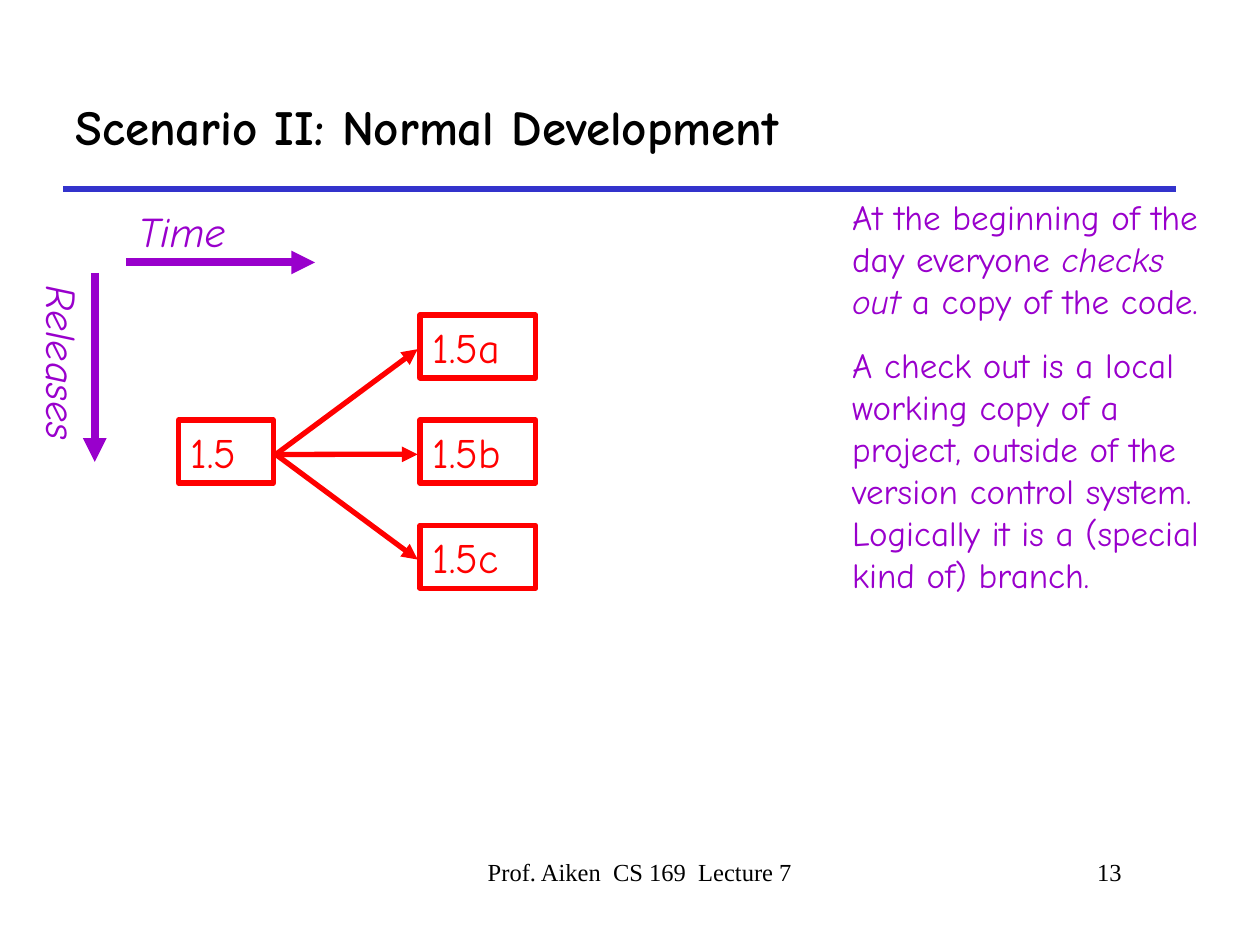
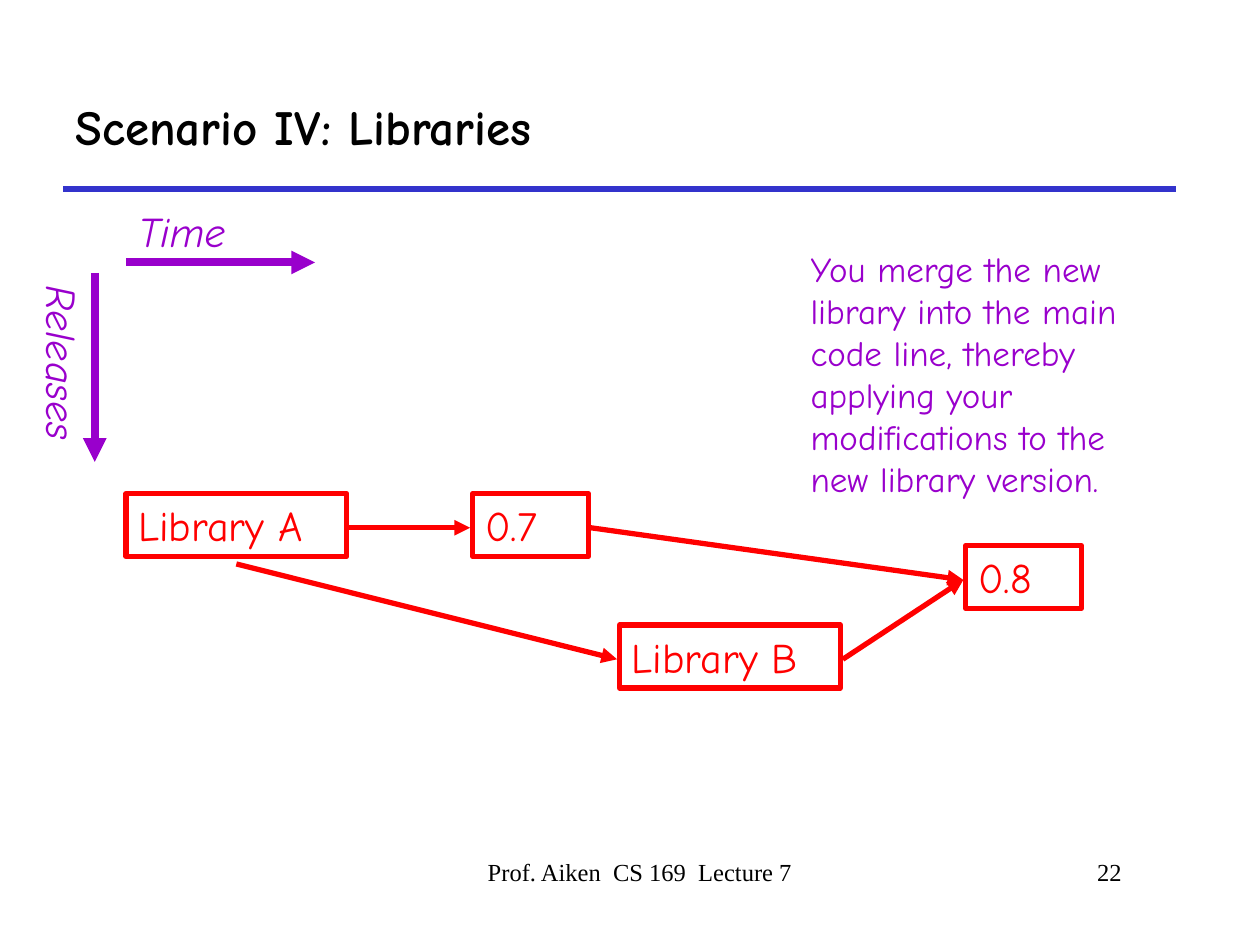
from dataclasses import dataclass

from lxml import etree
from pptx import Presentation
from pptx.dml.color import RGBColor
from pptx.enum.shapes import MSO_CONNECTOR, MSO_SHAPE
from pptx.enum.text import MSO_ANCHOR, MSO_AUTO_SIZE, PP_ALIGN
from pptx.oxml.ns import qn
from pptx.util import Cm, Pt

STRAIGHT = MSO_CONNECTOR.STRAIGHT
RECTANGLE = MSO_SHAPE.RECTANGLE
TOP, MIDDLE = MSO_ANCHOR.TOP, MSO_ANCHOR.MIDDLE
GROW = MSO_AUTO_SIZE.SHAPE_TO_FIT_TEXT
LEFT, CENTER, RIGHT = PP_ALIGN.LEFT, PP_ALIGN.CENTER, PP_ALIGN.RIGHT

BLACK = RGBColor(0x00, 0x00, 0x00)
BLUE = RGBColor(0x33, 0x33, 0xCC)
PURPLE = RGBColor(0x99, 0x00, 0xCC)
RED = RGBColor(0xFF, 0x00, 0x00)

HAND_FONT = "Comic Neue"
FOOTER_FONT = "Times New Roman"
FOOTER_TEXT = "Prof. Aiken  CS 169  Lecture 7"
FOOTER_TOP = 17.15
FOOTER_INDENT = 0.61

BOX_HEIGHT = 1.27
ARROW_DROP = 0.69  # arrows meet a box this far below its top
ARROW_GAP = 0.05


@dataclass
class TextStyle:
    """Look of a block of text."""
    size: int
    color: RGBColor
    font: str = HAND_FONT
    bold: bool = False
    italic: bool = False
    align: PP_ALIGN = LEFT
    before: float = 0
    indent: float = 0


TITLE = TextStyle(28, BLACK, bold=True)
AXIS = TextStyle(24, PURPLE, italic=True, before=15)
VERSION = TextStyle(24, RED, before=15)
NOTE = TextStyle(20, PURPLE, before=12.5)
FOOTER = TextStyle(14, BLACK, FOOTER_FONT, align=CENTER, indent=FOOTER_INDENT)
PAGE = TextStyle(14, BLACK, FOOTER_FONT, align=RIGHT, indent=FOOTER_INDENT)


@dataclass
class VersionBox:
    """Place of a version box in cm, with the points where arrows meet it."""
    left: float
    top: float
    width: float

    @property
    def entry(self):
        """Point at the left side."""
        return self.left - ARROW_GAP, self.top + ARROW_DROP

    @property
    def exit(self):
        """Point at the right side."""
        return self.left + self.width + ARROW_GAP, self.top + ARROW_DROP

    @property
    def below(self):
        """Point under the middle of the bottom side."""
        return self.left + self.width / 2, self.top + BOX_HEIGHT + 3 * ARROW_GAP


def write(frame, paragraphs, style, anchor=TOP):
    """Fill a text frame; each paragraph is a list of (text, italic) runs."""
    frame.word_wrap = True
    frame.vertical_anchor = anchor
    for index, runs in enumerate(paragraphs):
        paragraph = frame.paragraphs[0] if index == 0 else frame.add_paragraph()
        paragraph.alignment = style.align
        paragraph.space_before = Pt(style.before)
        if style.indent:
            properties = paragraph._p.get_or_add_pPr()
            properties.set("marL", str(Cm(style.indent)))
            properties.set("indent", "0")
        for text, italic in runs:
            run = paragraph.add_run()
            run.text = text
            run.font.name = style.font
            run.font.size = Pt(style.size)
            run.font.bold = style.bold
            run.font.italic = italic
            run.font.color.rgb = style.color


def add_text(slide, area, paragraphs, style, anchor=TOP):
    """Add a wrapping text box; area is left, top, width, height in cm."""
    box = slide.shapes.add_textbox(*map(Cm, area))
    write(box.text_frame, paragraphs, style, anchor)
    return box


def add_label(slide, area, text, style, anchor=TOP):
    """Add a text box that holds a single run."""
    return add_text(slide, area, [[(text, style.italic)]], style, anchor)


def add_line(slide, start, end, color, width, arrow=True):
    """Draw a straight line between two points in cm, with or without a head."""
    line = slide.shapes.add_connector(STRAIGHT, *map(Cm, start + end))
    line.line.color.rgb = color
    line.line.width = Pt(width)
    if arrow:
        outline = line.line._get_or_add_ln()
        etree.SubElement(outline, qn("a:tailEnd"), type="triangle")
    etree.SubElement(line._element.spPr, qn("a:effectLst"))


def add_version(slide, text, left, top, width=2.33):
    """Add a red version box and return its place."""
    shape = slide.shapes.add_shape(
        RECTANGLE, Cm(left), Cm(top), Cm(width), Cm(BOX_HEIGHT))
    shape.shadow.inherit = False
    shape.fill.background()
    shape.line.color.rgb = RED
    shape.line.width = Pt(3)
    write(shape.text_frame, [[(text, False)]], VERSION)
    shape.text_frame.auto_size = GROW
    return VersionBox(left, top, width)


def link(slide, start, end):
    """Draw a red arrow from one version to another."""
    add_line(slide, start, end, RED, 3)


def add_axes(slide):
    """Add the time and releases axes."""
    add_line(slide, (2.54, 5.29), (6.35, 5.29), PURPLE, 4.5)
    add_label(slide, (2.54, 4.02, 3.81, 1.27), "Time", AXIS)
    add_line(slide, (1.91, 5.5), (1.91, 9.31), PURPLE, 4.5)
    releases = add_label(slide, (-0.85, 6.99, 4.23, 1.27), "Releases", AXIS)
    releases.rotation = 90


def start_slide(deck, title, number):
    """Add a slide with its title, rule, footer, page number and axes."""
    slide = deck.slides.add_slide(deck.slide_layouts[6])
    add_line(slide, (1.27, 3.81), (23.71, 3.81), BLUE, 3, arrow=False)
    add_label(slide, (1.27, 1.27, 22.43, 2.54), title, TITLE, MIDDLE)
    add_label(slide, (7.83, FOOTER_TOP, 9.53, 1.27), FOOTER_TEXT, FOOTER)
    add_label(slide, (17.57, FOOTER_TOP, 5.29, 1.27), str(number), PAGE)
    add_axes(slide)
    return slide


def build_development(deck):
    """Build the slide on checking out working copies."""
    slide = start_slide(deck, "Scenario II: Normal Development", 13)
    add_text(slide, (16.93, 3.81, 7.83, 8.33), [
        [("At the beginning of the day everyone ", False),
         ("checks out", True),
         (" a copy of the code.", False)],
        [("A check out is a local working copy of a project, outside of the "
          "version control system.  Logically it is a (special kind of) "
          "branch.", False)],
    ], NOTE)
    release = add_version(slide, "1.5", 3.6, 8.47, 1.91)
    for row, name in enumerate(("1.5a", "1.5b", "1.5c")):
        checkout = add_version(slide, name, 8.47, 6.35 + 2.12 * row)
        link(slide, release.exit, checkout.entry)


def build_libraries(deck):
    """Build the slide on merging a new library version."""
    slide = start_slide(deck, "Scenario IV: Libraries", 22)
    add_label(slide, (16.09, 4.87, 7.83, 5.33),
              "You merge the new library into the main code line, thereby "
              "applying your modifications to the new library version.", NOTE)
    library_a = add_version(slide, "Library A", 2.54, 9.95, 4.45)
    modified = add_version(slide, "0.7", 9.53, 9.95)
    library_b = add_version(slide, "Library B", 12.49, 12.6, 4.45)
    merged = add_version(slide, "0.8", 19.47, 11)
    link(slide, library_a.exit, modified.entry)
    link(slide, library_a.below, library_b.entry)
    link(slide, modified.exit, merged.entry)
    link(slide, library_b.exit, merged.entry)


def main():
    """Build and save the deck."""
    deck = Presentation()
    deck.slide_width, deck.slide_height = Cm(25.4), Cm(19.05)
    build_development(deck)
    build_libraries(deck)
    deck.save("out.pptx")


main()
